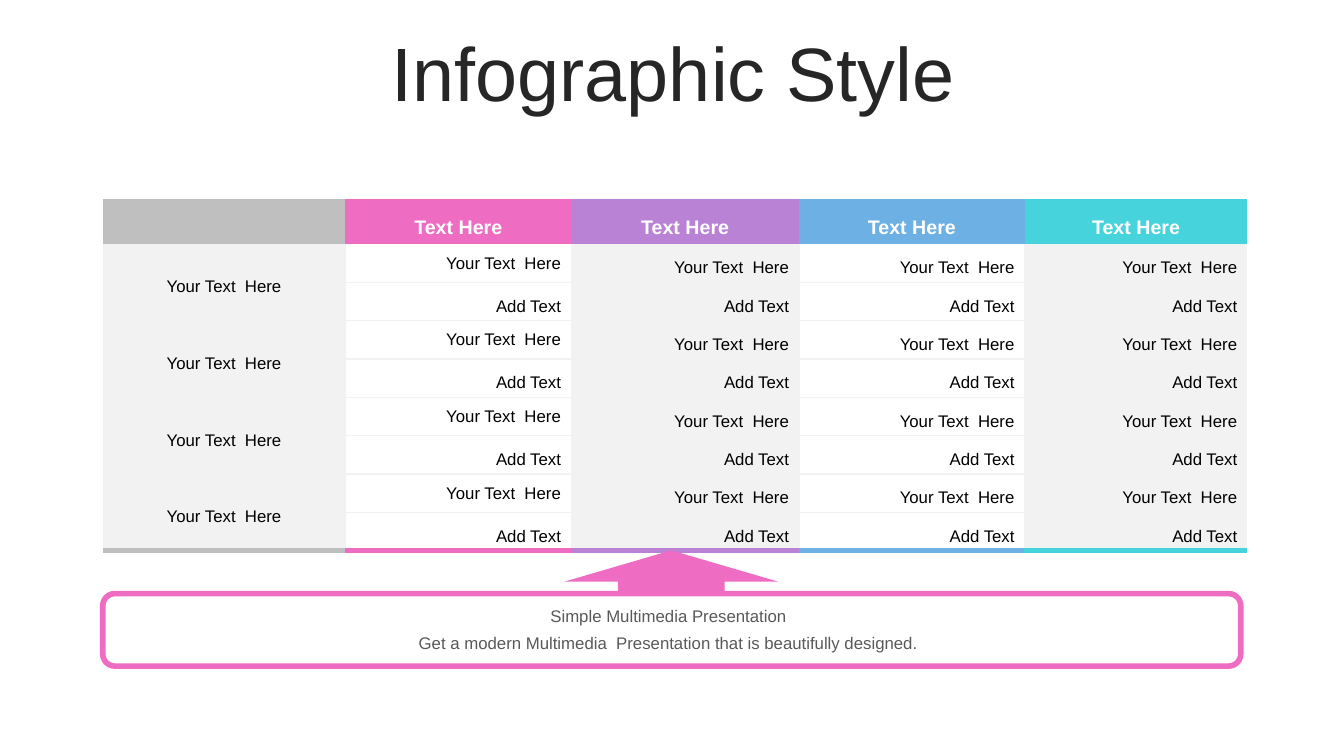
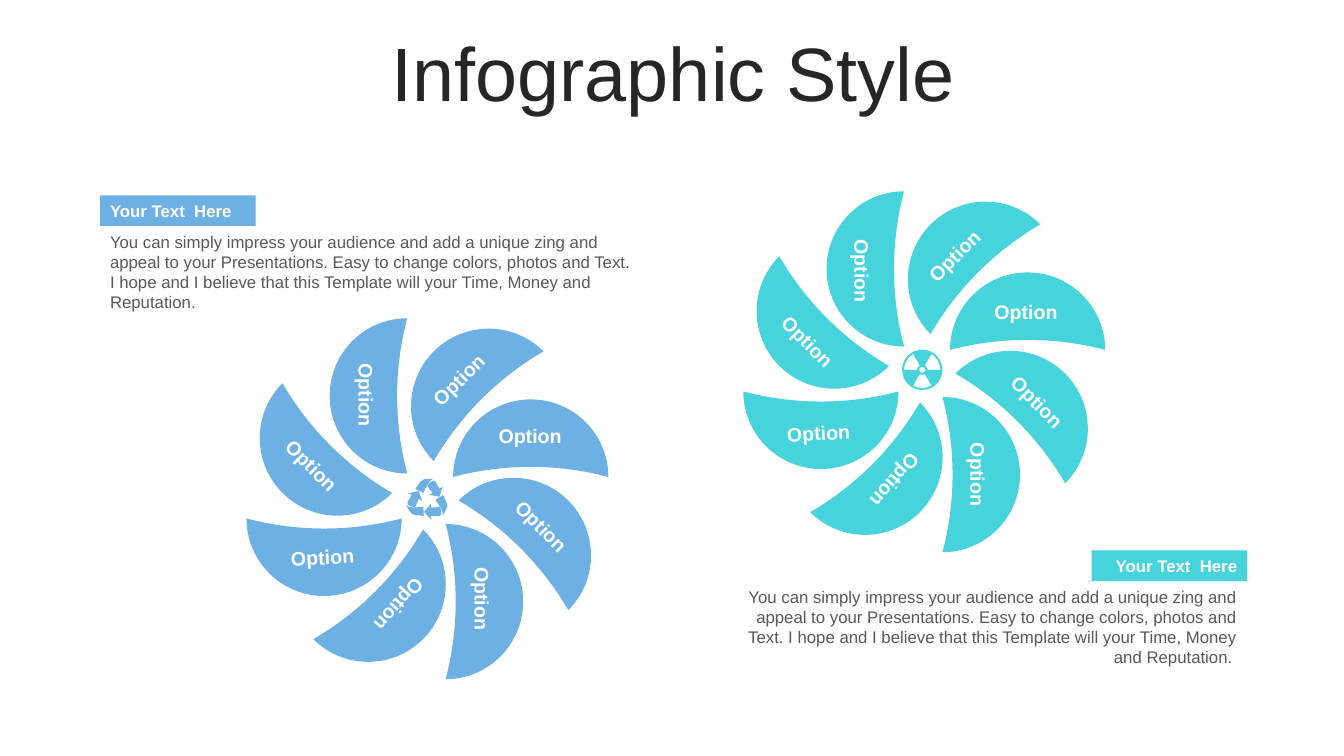
from dataclasses import dataclass
from math import cos, radians, sin, tan
from typing import NamedTuple

from lxml.etree import SubElement
from pptx import Presentation
from pptx.dml.color import RGBColor
from pptx.enum.shapes import MSO_SHAPE
from pptx.enum.text import MSO_ANCHOR, MSO_AUTO_SIZE, PP_ALIGN
from pptx.oxml.ns import qn
from pptx.util import Pt

FONT = "Arial"
PINK, PURPLE, BLUE, TEAL = "EE6CC1", "B982D5", "6DB0E4", "47D3DC"
GREY, PALE, WHITE, BLACK = "BFBFBF", "F2F2F2", "FFFFFF", "000000"
TITLE_COLOUR, BODY_COLOUR = "262626", "595959"
COLUMN_COLOURS = [GREY, PINK, PURPLE, BLUE, TEAL]
COLUMN_WIDTHS = [173.4, 161.2, 162.9, 161.1, 159.1]
HEADER_HEIGHT, ROW_HEIGHT, BODY_ROWS = 31.9, 26.6, 8
PETAL_WIDTH, PETAL_HEIGHT = 55.4, 110.9
LABEL_WIDTH, LABEL_HEIGHT = 67.7, 24.5
TAG_WIDTH, TAG_HEIGHT = 111.1, 21.8
PITCH = (
    "You can simply impress your audience and add a unique zing and appeal to your "
    "Presentations. Easy to change colors, photos and Text. I hope and I believe that "
    "this Template will your Time, Money and Reputation."
)

Point = tuple[float, float]
Segment = list[Point]


class Box(NamedTuple):
    """Left, top, width and height in points."""

    left: float
    top: float
    width: float
    height: float

    def lengths(self) -> list[Pt]:
        """Return the four values as lengths."""
        return [Pt(value) for value in self]


class TextStyle(NamedTuple):
    """Look of a line of text."""

    size: float
    colour: str
    bold: bool = False
    alignment: PP_ALIGN = PP_ALIGN.CENTER
    spacing: float = 1.0


class Petal(NamedTuple):
    """Petal and label centres, measured from the wheel centre."""

    rotation: float
    centre: Point
    label_centre: Point
    label_rotation: float


class Contour(NamedTuple):
    """Closed outline: one-point segments are lines, three-point ones curves."""

    start: Point
    segments: list[Segment]


@dataclass(frozen=True)
class Wheel:
    """A wheel of petals with its tag and paragraph."""

    colour: str
    centre: Point
    label_origin: Point
    tag: Point
    paragraph: Box
    text: str
    alignment: PP_ALIGN


PETALS = [
    Petal(0, (-41.8, -73), (-43.6, -73.7), 90),
    Petal(45, (24.4, -85.2), (22.6, -84.5), 315),
    Petal(90, (74.1, -42.8), (73.7, -44.5), 0),
    Petal(135, (81.3, 21.3), (81.6, 19.9), 45),
    Petal(180, (41, 73.9), (39.2, 71.7), 90),
    Petal(225, (-22.4, 81.1), (-19.9, 76), 130.9),
    Petal(270, (-73.5, 42.2), (-74.6, 42.2), 356.3),
    Petal(315, (-83.6, -23.3), (-82.5, -23.3), 45),
]
WHEELS = [
    Wheel(
        BLUE, (305, 355.8), (305, 356), (71.5, 139.6),
        Box(71.5, 161.9, 387.4, 65.5), PITCH, PP_ALIGN.LEFT,
    ),
    Wheel(
        TEAL, (659.9, 265.1), (659.2, 267.3), (779.8, 393.2),
        Box(505.6, 415.4, 385.2, 65.5), f"{PITCH} ", PP_ALIGN.RIGHT,
    ),
]
RECYCLE_ARROW = Contour((0, -10.1), [
    [(1.4, -12.2), (2.9, -13.7), (4.3, -13.7)],
    [(4.3, -13.7), (5, -13.7), (5.8, -13)],
    [(8.6, -7.9)], [(10.8, -9.4)], [(8.6, -2.2)], [(1.4, -3.6)], [(3.6, -5)],
])
RECYCLE_TAIL = Contour((1.4, -15.1), [
    [(2.2, -15.1), (3.6, -15.1), (4.3, -15.1)],
    [(1.4, -14.4), (-0.7, -9.4), (-2.9, -5)],
    [(-8.6, -7.9)], [(-5, -13)],
    [(-4.3, -14.4), (-2.2, -15.1), (1.4, -15.1)],
])


def colour_of(value: str) -> RGBColor:
    """Turn a hex string into a colour."""
    return RGBColor.from_string(value)


def box_around(centre: Point, width: float, height: float) -> Box:
    """Return a box centred on a point."""
    return Box(centre[0] - width / 2, centre[1] - height / 2, width, height)


def shifted(origin: Point, offset: Point) -> Point:
    """Move a point by an offset."""
    return origin[0] + offset[0], origin[1] + offset[1]


def write_text(text_frame, text: str, style: TextStyle) -> None:
    """Fill a text frame with one styled paragraph."""
    text_frame.text = text
    text_frame.word_wrap = True
    paragraph = text_frame.paragraphs[0]
    paragraph.alignment = style.alignment
    paragraph.line_spacing = style.spacing
    paragraph.space_before = Pt(0)
    for run in paragraph.runs:
        run.font.name = FONT
        run.font.size = Pt(style.size)
        run.font.bold = style.bold
        run.font.color.rgb = colour_of(style.colour)


def paint(shape, fill: str, line: str | None = None, line_width: float = 0) -> None:
    """Set fill and outline and drop the shadow."""
    shape.shadow.inherit = False
    shape.fill.solid()
    shape.fill.fore_color.rgb = colour_of(fill)
    if line is None:
        shape.line.fill.background()
    else:
        shape.line.color.rgb = colour_of(line)
        shape.line.width = Pt(line_width)


def add_text(slide, box: Box, text: str, style: TextStyle, rotation: float = 0) -> None:
    """Add a text box."""
    shape = slide.shapes.add_textbox(*box.lengths())
    shape.rotation = rotation
    write_text(shape.text_frame, text, style)


def add_titled_slide(presentation, title: str):
    """Add a title-only slide with the shared title style."""
    slide = presentation.slides.add_slide(presentation.slide_layouts[5])
    shape = slide.shapes.title
    shape.left, shape.top, shape.width, shape.height = Box(25.2, 26.6, 911.5, 56.9).lengths()
    write_text(shape.text_frame, title, TextStyle(54, TITLE_COLOUR, spacing=0.9))
    shape.text_frame.auto_size = MSO_AUTO_SIZE.NONE
    shape.text_frame.vertical_anchor = MSO_ANCHOR.MIDDLE
    return slide


def set_borders(cell, borders: dict[str, tuple[str, float]]) -> None:
    """Set the named borders of a cell and clear the others."""
    properties = cell._tc.get_or_add_tcPr()
    for index, side in enumerate("LRTB"):
        colour, width = borders.get(side, (None, 1))
        line = SubElement(properties, qn(f"a:ln{side}"), w=str(Pt(width)))
        if colour is None:
            SubElement(line, qn("a:noFill"))
        else:
            fill = SubElement(line, qn("a:solidFill"))
            SubElement(fill, qn("a:srgbClr"), val=colour)
        properties.insert(index, line)


def format_cell(cell, fill: str, text: str, style: TextStyle) -> None:
    """Fill a cell and write its text."""
    cell.fill.solid()
    cell.fill.fore_color.rgb = colour_of(fill)
    cell.vertical_anchor = MSO_ANCHOR.MIDDLE
    if text:
        write_text(cell.text_frame, text, style)


def body_borders(row: int, column: int) -> dict[str, tuple[str, float]]:
    """Return inner hairlines and the thick coloured bottom."""
    hairline = (PALE, 1)
    borders = {"B": hairline}
    if column > 0:
        borders["L"] = hairline
    if column < len(COLUMN_WIDTHS) - 1:
        borders["R"] = hairline
    if row > 1:
        borders["T"] = hairline
    if row == BODY_ROWS or (column == 0 and row == BODY_ROWS - 1):
        borders["B"] = (COLUMN_COLOURS[column], 4.5)
    return borders


def add_option_table(slide) -> None:
    """Add the table with coloured headers and paired rows."""
    box = Box(73.4, 142.4, sum(COLUMN_WIDTHS), HEADER_HEIGHT + BODY_ROWS * ROW_HEIGHT)
    table = slide.shapes.add_table(BODY_ROWS + 1, len(COLUMN_WIDTHS), *box.lengths()).table
    table.first_row = table.horz_banding = False
    for index, row in enumerate(table.rows):
        row.height = Pt(ROW_HEIGHT if index else HEADER_HEIGHT)
    for column, (width, colour) in enumerate(zip(COLUMN_WIDTHS, COLUMN_COLOURS)):
        table.columns[column].width = Pt(width)
        header = table.cell(0, column)
        header_style = TextStyle(14, WHITE, True, spacing=1.5)
        format_cell(header, colour, "Text Here" if column else "", header_style)
        set_borders(header, {})
        for row in range(1, BODY_ROWS + 1):
            cell = table.cell(row, column)
            opens_pair = row % 2 == 1
            text = "Your Text  Here" if opens_pair else "Add Text" if column else ""
            alignment = PP_ALIGN.RIGHT if column else PP_ALIGN.CENTER
            spacing = 1 if column == 1 and opens_pair else 1.5
            style = TextStyle(12, BLACK, alignment=alignment, spacing=spacing)
            format_cell(cell, WHITE if column % 2 else PALE, text, style)
            set_borders(cell, body_borders(row, column))
    for row in range(1, BODY_ROWS, 2):
        table.cell(row, 0).merge(table.cell(row + 1, 0))


def add_summary(slide) -> None:
    """Add the rounded summary frame and its arrow."""
    frame_box, arrow_box = Box(73.4, 424, 812.9, 51.8), Box(403.2, 393.1, 152.6, 31.5)
    frame = slide.shapes.add_shape(MSO_SHAPE.ROUNDED_RECTANGLE, *frame_box.lengths())
    paint(frame, WHITE, PINK, 4)
    arrow = slide.shapes.add_shape(MSO_SHAPE.UP_ARROW, *arrow_box.lengths())
    arrow.adjustments[0], arrow.adjustments[1] = 0.5, 0.71
    paint(arrow, PINK)
    lines = [
        "Simple Multimedia Presentation ",
        "Get a modern Multimedia  Presentation that is beautifully designed. ",
    ]
    for index, text in enumerate(lines):
        box = Box(123.1, 429.1 + index * 19.4, 712.1, 21.6)
        add_text(slide, box, text, TextStyle(12, BODY_COLOUR))


def polar(radius: float, angle: float) -> Point:
    """Return the point at an angle in degrees around the origin."""
    return radius * cos(radians(angle)), radius * sin(radians(angle))


def arc(radius: float, start: float, end: float) -> Segment:
    """Return a curve along a circle around the origin."""
    reach = 4 / 3 * tan(radians(end - start) / 4)
    first, last = polar(radius, start), polar(radius, end)
    leave = (first[0] - reach * first[1], first[1] + reach * first[0])
    arrive = (last[0] + reach * last[1], last[1] - reach * last[0])
    return [leave, arrive, last]


def circle(radius: float) -> Contour:
    """Return a circle of four curves."""
    return Contour((radius, 0), [arc(radius, start, start + 90) for start in range(0, 360, 90)])


def wedge(inner: float, outer: float, start: float, end: float) -> Contour:
    """Return a ring sector."""
    segments = [arc(outer, start, end), [polar(inner, end)], arc(inner, end, start)]
    return Contour(polar(outer, start), segments)


def turned(contour: Contour, degrees: float) -> Contour:
    """Rotate a contour around the origin."""
    cosine, sine = polar(1, degrees)

    def turn(point: Point) -> Point:
        """Rotate one point."""
        return point[0] * cosine - point[1] * sine, point[0] * sine + point[1] * cosine

    return Contour(turn(contour.start), [[turn(p) for p in part] for part in contour.segments])


def add_icon(slide, centre: Point, contours: list[Contour], colour: str) -> None:
    """Add one freeform made of closed contours with curves."""

    def place(point: Point) -> tuple[Pt, Pt]:
        """Return a point on the slide."""
        left, top = shifted(centre, point)
        return Pt(left), Pt(top)

    builder = slide.shapes.build_freeform(*place(contours[0].start))
    for index, contour in enumerate(contours):
        if index:
            builder.move_to(*place(contour.start))
        points = [place(point) for segment in contour.segments for point in segment]
        builder.add_line_segments(points, close=True)
    shape = builder.convert_to_shape()
    lines = iter(list(shape._element.iter(qn("a:lnTo"))))
    for segment in (segment for contour in contours for segment in contour.segments):
        curve, *others = [next(lines) for _ in segment]
        if others:
            curve.tag = qn("a:cubicBezTo")
        for line in others:
            curve.append(line[0])
            line.getparent().remove(line)
    paint(shape, colour)


def add_wheel(slide, wheel: Wheel) -> None:
    """Add the petals, labels, tag and paragraph of a wheel."""
    for petal in PETALS:
        box = box_around(shifted(wheel.centre, petal.centre), PETAL_WIDTH, PETAL_HEIGHT)
        shape = slide.shapes.add_shape(MSO_SHAPE.MOON, *box.lengths())
        shape.adjustments[0] = 0.87
        shape.rotation = petal.rotation
        paint(shape, wheel.colour)
    for petal in PETALS:
        centre = shifted(wheel.label_origin, petal.label_centre)
        box = box_around(centre, LABEL_WIDTH, LABEL_HEIGHT)
        add_text(slide, box, "Option", TextStyle(14, WHITE, True), petal.label_rotation)
    tag_box = Box(*wheel.tag, TAG_WIDTH, TAG_HEIGHT)
    tag = slide.shapes.add_shape(MSO_SHAPE.RECTANGLE, *tag_box.lengths())
    paint(tag, wheel.colour)
    write_text(tag.text_frame, "Your Text  Here", TextStyle(12, WHITE, True, wheel.alignment))
    style = TextStyle(12, BODY_COLOUR, alignment=wheel.alignment)
    add_text(slide, wheel.paragraph, wheel.text, style)


def main() -> None:
    """Build and save the presentation."""
    presentation = Presentation()
    presentation.slide_width, presentation.slide_height = Pt(960), Pt(540)
    table_slide, wheel_slide = [
        add_titled_slide(presentation, "Infographic Style") for _ in range(2)
    ]
    add_option_table(table_slide)
    add_summary(table_slide)
    for wheel in WHEELS:
        add_wheel(wheel_slide, wheel)
    parts = (RECYCLE_ARROW, RECYCLE_TAIL)
    recycle = [turned(part, angle) for angle in (0, 120, 240) for part in parts]
    add_icon(wheel_slide, (305.3, 357.1), recycle, BLUE)
    wedges = [wedge(3.6, 13, start, start + 60) for start in (60, 180, 300)]
    add_icon(wheel_slide, (658.8, 264.2), [circle(14.4), *wedges, circle(2.2)], TEAL)
    presentation.save("out.pptx")


if __name__ == "__main__":
    main()
